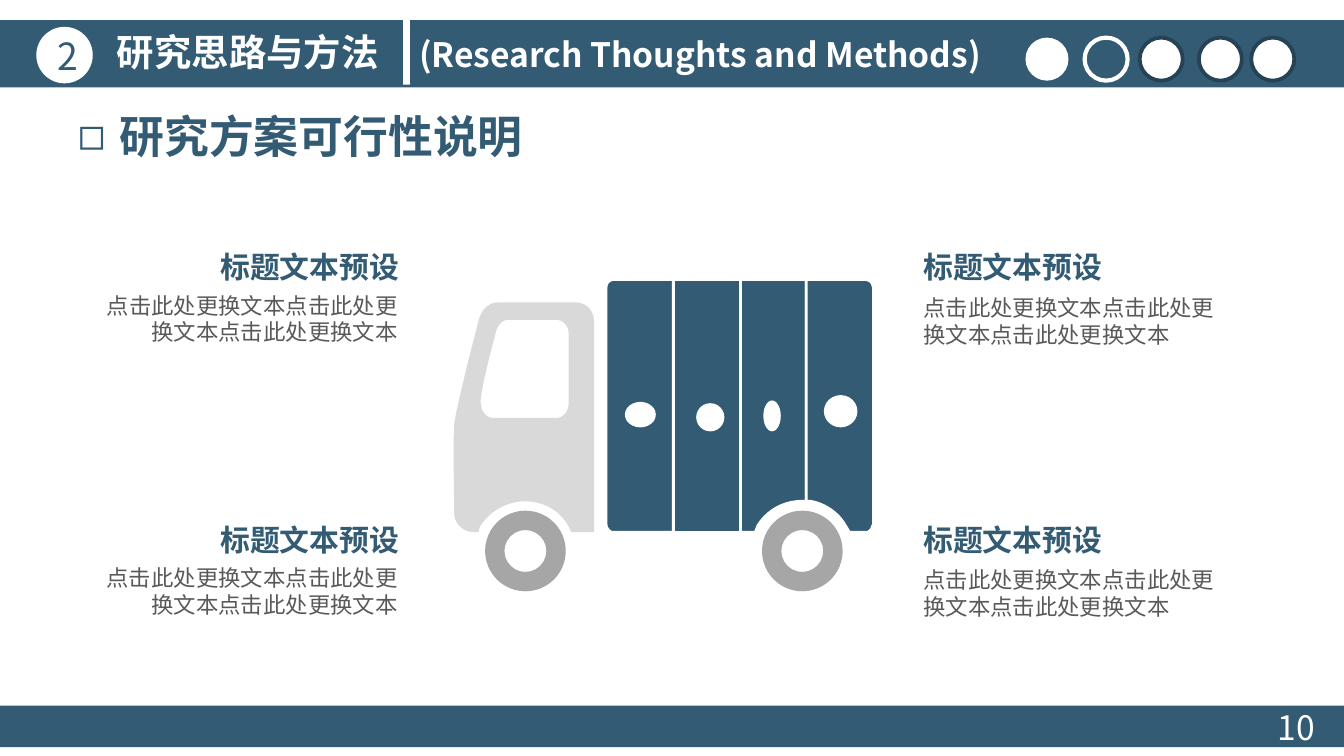
from lxml import etree
from pptx import Presentation
from pptx.dml.color import RGBColor
from pptx.enum.shapes import MSO_SHAPE as Shape
from pptx.enum.text import MSO_ANCHOR as Anchor, MSO_AUTO_SIZE as AutoSize, PP_ALIGN as Align
from pptx.oxml.ns import qn
from pptx.util import Inches, Pt

FONT = "Noto Sans CJK SC"
BLUE, DARK, WHITE = "335B74", "264356", "FFFFFF"
LIGHT_GREY, WHEEL_GREY, TEXT_GREY = "D9D9D9", "A6A6A6", "595959"

TITLE = "研究思路与方法"
SUBTITLE = "(Research Thoughts and Methods)"
TOPIC = "研究方案可行性说明"
CAPTION_HEADING = "标题文本预设"
CAPTION_BODY = "点击此处更换文本" * 3

# left, fill, line colour, line width
PROGRESS_DOTS = [
    (7.63, WHITE, None, 0),
    (8.07, None, WHITE, 2.25),
    (8.48, WHITE, DARK, 2),
    (8.92, WHITE, DARK, 2),
    (9.31, WHITE, DARK, 2),
]
# alignment, heading left, heading top, body left, body top, width
CAPTIONS = [
    (Align.RIGHT, 0.7, 1.85, 0.69, 2.13, 2.35),
    (Align.LEFT, 6.79, 1.85, 6.79, 2.15, 2.46),
    (Align.RIGHT, 0.58, 3.88, 0.57, 4.16, 2.47),
    (Align.LEFT, 6.79, 3.88, 6.79, 4.17, 2.33),
]

# Outlines: two numbers are a corner, six are a Bezier curve
TOP, BOTTOM, ARCH = 2.08, 3.96, 3.73
PANELS = [
    [(4.57, TOP), (5.01, TOP), (5.01, BOTTOM), (4.55, BOTTOM),
     (4.53, 3.95, 4.51, 3.93, 4.51, 3.9), (4.51, 2.14),
     (4.51, 2.1, 4.54, TOP, 4.57, TOP)],
    [(5.01, TOP), (5.51, TOP), (5.51, BOTTOM), (5.01, BOTTOM)],
    [(5.51, TOP), (6, TOP), (6, ARCH), (5.97, ARCH),
     (5.83, ARCH, 5.71, 3.8, 5.64, 3.91), (5.62, BOTTOM), (5.51, BOTTOM)],
    [(6, TOP), (6.43, TOP), (6.46, TOP, 6.48, 2.09, 6.49, 2.11), (6.5, 2.14),
     (6.5, 3.9), (6.49, 3.92), (6.49, 3.94, 6.47, 3.95, 6.46, BOTTOM),
     (6.32, BOTTOM), (6.29, 3.91), (6.24, 3.82, 6.14, 3.75, 6.03, ARCH), (6, ARCH)],
]
CAB_BODY = [
    (3.38, 3.82), (3.38, 3.9, 3.45, 3.96, 3.53, 3.96), (3.56, 3.96), (3.57, 3.92),
    (3.64, 3.81, 3.76, 3.73, 3.91, 3.73), (4.06, 3.73, 4.2, 3.82, 4.25, 3.96),
    (4.42, 3.96), (4.42, 2.39), (4.42, 2.31, 4.36, 2.25, 4.28, 2.25), (3.71, 2.25),
    (3.63, 2.25, 3.58, 2.31, 3.56, 2.39), (3.56, 2.39, 3.41, 2.96, 3.38, 3.15),
    (3.37, 3.22, 3.38, 3.82, 3.38, 3.82),
]
CAB_WINDOW = [
    (3.58, 2.95), (3.59, 2.84, 3.69, 2.47, 3.69, 2.47),
    (3.7, 2.43, 3.73, 2.38, 3.78, 2.38), (4.14, 2.38),
    (4.19, 2.38, 4.23, 2.43, 4.23, 2.47), (4.23, 3.01),
    (4.23, 3.06, 4.19, 3.11, 4.14, 3.11), (3.67, 3.11),
    (3.62, 3.11, 3.58, 3.06, 3.58, 3.01), (3.58, 3.01, 3.57, 3, 3.58, 2.95),
]
WHEEL_LEFTS = [3.61, 5.67]
# left, top, width, height of the plain mark on each panel
PANEL_MARKS = [
    (4.65, 2.99, 0.23, 0.19),
    (5.18, 3, 0.21, 0.21),
    (5.68, 2.98, 0.13, 0.23),
    (6.13, 2.94, 0.25, 0.24),
]


def color(hex_string):
    return RGBColor.from_string(hex_string)


def paint(shape, fill, line=None, width=0):
    shape.shadow.inherit = False
    if fill:
        shape.fill.solid()
        shape.fill.fore_color.rgb = color(fill)
    else:
        shape.fill.background()
    if line:
        shape.line.color.rgb = color(line)
        shape.line.width = Pt(width)
    else:
        shape.line.fill.background()


def add_shape(kind, box, fill, line=None, width=0):
    shape = slide.shapes.add_shape(kind, *map(Inches, box))
    paint(shape, fill, line, width)
    return shape


def write(shape, text, size, hex_string, bold=False, align=Align.LEFT,
          anchor=Anchor.TOP, wrap=True):
    frame = shape.text_frame
    frame.auto_size = AutoSize.NONE
    frame.word_wrap = wrap
    frame.vertical_anchor = anchor
    paragraph = frame.paragraphs[0]
    paragraph.alignment = align
    paragraph.space_before = Pt(0)
    run = paragraph.add_run()
    run.text = text
    run.font.size, run.font.bold, run.font.name = Pt(size), bold, FONT
    run.font.color.rgb = color(hex_string)
    etree.SubElement(run._r.get_or_add_rPr(), qn("a:ea")).set("typeface", FONT)
    return paragraph


def add_text(box, *args, flat=False, **options):
    """Add a text box; flat means no inset above and below."""
    shape = slide.shapes.add_textbox(*map(Inches, box))
    write(shape, *args, **options)
    if flat:
        frame = shape.text_frame
        frame.margin_left = frame.margin_right = Inches(0.08)
        frame.margin_top = frame.margin_bottom = 0


def place(placeholder, box):
    """Move a placeholder to its box, in front of what is already drawn."""
    placeholder.left, placeholder.top, placeholder.width, placeholder.height = map(Inches, box)
    placeholder.element.getparent().append(placeholder.element)


def flatten(outline, steps=10):
    """Turn corners and curves into points in EMU."""
    points = []
    for part in outline:
        if len(part) == 2:
            points.append(part)
            continue
        controls = [points[-1], part[:2], part[2:4], part[4:]]
        for step in range(1, steps + 1):
            t = step / steps
            weights = ((1 - t) ** 3, 3 * t * (1 - t) ** 2, 3 * t * t * (1 - t), t ** 3)
            points.append(tuple(sum(w * c[axis] for w, c in zip(weights, controls))
                                for axis in (0, 1)))
    return [(Inches(x), Inches(y)) for x, y in points]


def add_outline(outlines, fill, line=None, width=0):
    first, *others = map(flatten, outlines)
    builder = slide.shapes.build_freeform(*first[0], scale=1.0)
    builder.add_line_segments(first[1:], close=True)
    for points in others:
        builder.move_to(*points[0])
        builder.add_line_segments(points[1:], close=True)
    paint(builder.convert_to_shape(), fill, line, width)


presentation = Presentation()
presentation.slide_width = Inches(10)
presentation.slide_height = presentation.slide_width * 9 // 16
slide = presentation.slides.add_slide(presentation.slide_layouts[1])
title, topic = slide.placeholders

# Header and footer
add_shape(Shape.RECTANGLE, (0, 0.15, 10, 0.5), BLUE)
for left, *style in PROGRESS_DOTS:
    add_shape(Shape.OVAL, (left, 0.28, 0.32, 0.32), *style)
badge = add_shape(Shape.OVAL, (0.27, 0.2, 0.42, 0.42), WHITE)
write(badge, "2", 20, BLUE, align=Align.CENTER, anchor=Anchor.MIDDLE)
add_shape(Shape.RECTANGLE, (3, 0.15, 0.05, 0.48), WHITE)
add_shape(Shape.RECTANGLE, (0, 5.25, 10, 0.31), BLUE)
add_text((9.41, 5.21, 0.59, 0.4), "10", 18, WHITE)

# Titles
place(topic, (0.48, 0.76, 3.65, 0.5))
paragraph_properties = write(topic, TOPIC, 24, BLUE, bold=True)._p.get_or_add_pPr()
paragraph_properties.set("marL", str(Inches(0.31)))
paragraph_properties.set("indent", str(Inches(-0.31)))
etree.SubElement(paragraph_properties, qn("a:buChar")).set("char", "◻")
place(title, (0.77, 0.17, 2.17, 0.44))
write(title, TITLE, 20, WHITE, bold=True, wrap=False)
add_text((3.02, 0.2, 4.58, 0.4), SUBTITLE, 18, WHITE, bold=True, wrap=False)

# Captions
for align, heading_left, heading_top, body_left, body_top, width in CAPTIONS:
    add_text((body_left, body_top, width, 0.48), CAPTION_BODY, 12, TEXT_GREY,
             align=align, anchor=Anchor.MIDDLE, flat=True)
    add_text((heading_left, heading_top, width, 0.2), CAPTION_HEADING, 16, BLUE,
             bold=True, align=align, wrap=False, flat=True)

# Truck
for panel in PANELS:
    add_outline([panel], BLUE, WHITE, 1.5)
for left in WHEEL_LEFTS:
    wheel = add_shape(Shape.DONUT, (left, 3.8, 0.6, 0.6), WHEEL_GREY)
    wheel.adjustments[0] = 0.24
add_outline([CAB_BODY, CAB_WINDOW], LIGHT_GREY)
for box in PANEL_MARKS:
    add_shape(Shape.OVAL, box, WHITE)

presentation.save("out.pptx")
